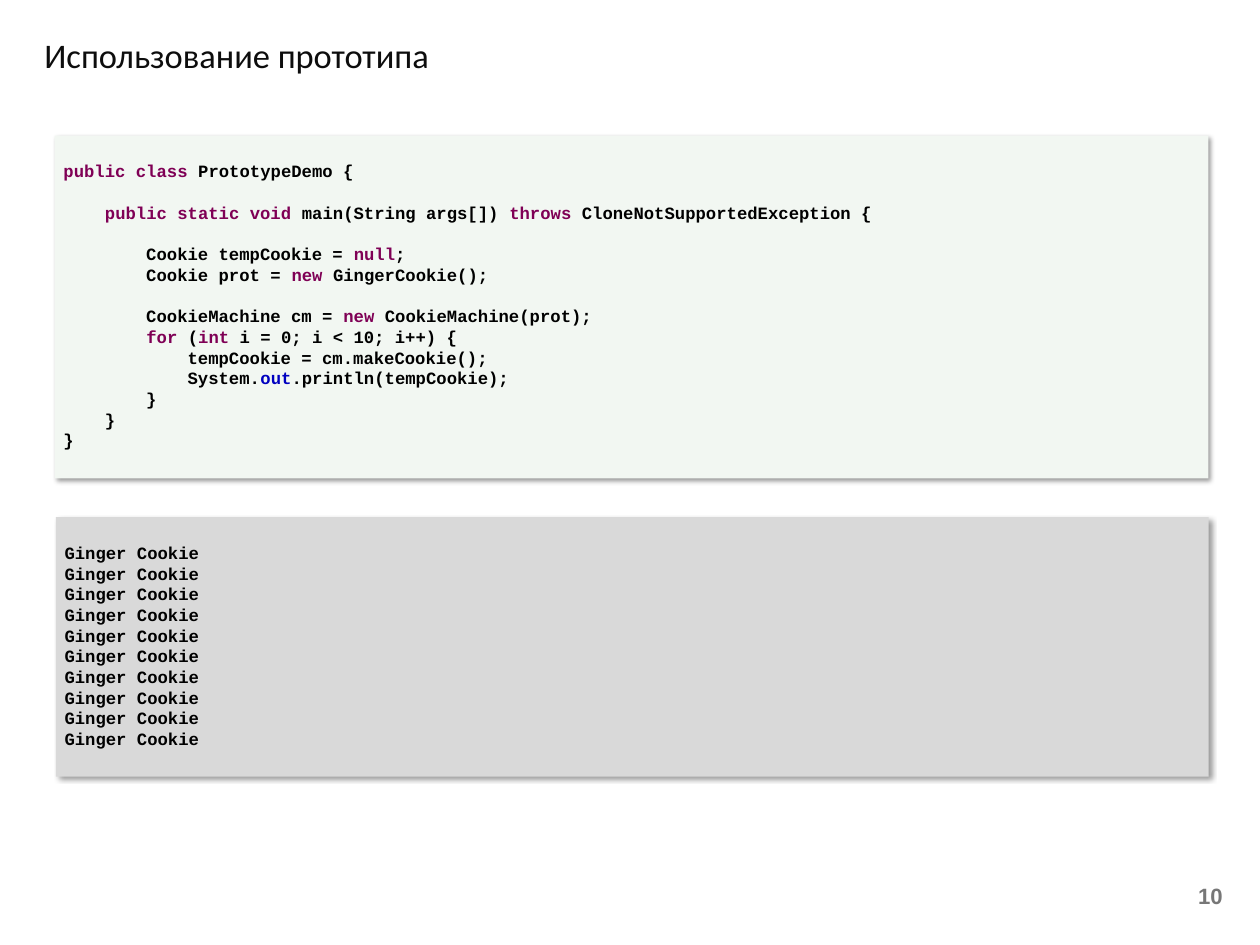
from lxml.etree import SubElement
from pptx import Presentation
from pptx.dml.color import RGBColor
from pptx.enum.shapes import MSO_SHAPE
from pptx.enum.text import MSO_ANCHOR as Anchor, MSO_AUTO_SIZE as AutoSize, PP_ALIGN as Align
from pptx.oxml.ns import qn
from pptx.util import Cm, Pt

COLORS = {
    "title": "0D0D0D",
    "number": "777777",
    "code": "000000",
    "keyword": "7F0055",
    "field": "0000C0",
    "code_panel": "F2F7F2",
    "output_panel": "D9D9D9",
    "shadow": "000000",
}
LINE_HEIGHT = Pt(16.8)

# Text between bars is highlighted; an empty line becomes paragraph spacing.
DEMO_CODE = """|public class| PrototypeDemo {

    |public static void| main(String args[]) |throws| CloneNotSupportedException {

        Cookie tempCookie = |null|;
        Cookie prot = |new| GingerCookie();

        CookieMachine cm = |new| CookieMachine(prot);
        |for| (|int| i = 0; i < 10; i++) {
            tempCookie = cm.makeCookie();
            System.|out|.println(tempCookie);
        }
    }
}"""
DEMO_OUTPUT = "\n".join(["Ginger Cookie"] * 10)


def color(name):
    return RGBColor.from_string(COLORS[name])


def style_paragraph(paragraph, font_name, size, color_name, bold=False, align=Align.LEFT):
    paragraph.alignment = align
    font = paragraph.font
    font.name, font.size, font.bold = font_name, Pt(size), bold
    font.color.rgb = color(color_name)


def add_soft_shadow(panel):
    panel.shadow.inherit = False
    effects = panel._element.spPr.find(qn("a:effectLst"))
    shadow = SubElement(effects, qn("a:outerShdw"), blurRad=str(Pt(4)), dist=str(Pt(3)),
                        dir="2700000", algn="tl", rotWithShape="0")
    tint = SubElement(shadow, qn("a:srgbClr"), val=COLORS["shadow"])
    SubElement(tint, qn("a:alpha"), val="40000")


def add_highlighted_line(paragraph, line):
    for index, part in enumerate(line.split("|")):
        if not part:
            continue
        run = paragraph.add_run()
        run.text = part
        if index % 2:
            run.font.color.rgb = color("field" if part == "out" else "keyword")


def add_listing(slide, listing, left, top, width, height, fill_name):
    panel = slide.shapes.add_shape(MSO_SHAPE.RECTANGLE, left, top, width, height)
    panel.fill.solid()
    panel.fill.fore_color.rgb = color(fill_name)
    panel.line.fill.background()
    add_soft_shadow(panel)

    frame = panel.text_frame
    frame.word_wrap = True
    frame.vertical_anchor = Anchor.TOP
    frame.margin_top = Cm(0.72)
    paragraph, gap = frame.paragraphs[0], False
    for number, line in enumerate(listing.split("\n")):
        if not line:
            gap = True
            continue
        if number:
            paragraph = frame.add_paragraph()
        style_paragraph(paragraph, "Courier New", 14, "code", bold=True)
        paragraph.line_spacing = LINE_HEIGHT
        if gap:
            paragraph.space_before = LINE_HEIGHT
        add_highlighted_line(paragraph, line)
        gap = False


def set_title(slide, text):
    title = slide.shapes.title
    title.left, title.top, title.width, title.height = Cm(1.02), Cm(0.76), Cm(28.02), Cm(1.6)
    frame = title.text_frame
    frame.text = text
    frame.auto_size = AutoSize.NONE
    frame.vertical_anchor = Anchor.MIDDLE
    style_paragraph(frame.paragraphs[0], "Calibri", 28, "title")


def add_page_number(slide, number):
    box = slide.shapes.add_textbox(Cm(26.87), Cm(25.02), Cm(8.43), Cm(1.35))
    frame = box.text_frame
    frame.word_wrap = True
    frame.vertical_anchor = Anchor.MIDDLE
    frame.text = str(number)
    style_paragraph(frame.paragraphs[0], "Arial", 18, "number", bold=True, align=Align.RIGHT)


def main():
    presentation = Presentation()
    presentation.slide_width, presentation.slide_height = Cm(36.12), Cm(27.1)
    slide = presentation.slides.add_slide(presentation.slide_layouts[5])
    set_title(slide, "Использование прототипа")
    add_page_number(slide, 10)
    add_listing(slide, DEMO_CODE, Cm(1.57), Cm(3.89), Cm(33.07), Cm(9.83), "code_panel")
    add_listing(slide, DEMO_OUTPUT, Cm(1.6), Cm(14.83), Cm(33.05), Cm(7.44), "output_panel")
    presentation.save("out.pptx")


if __name__ == "__main__":
    main()
